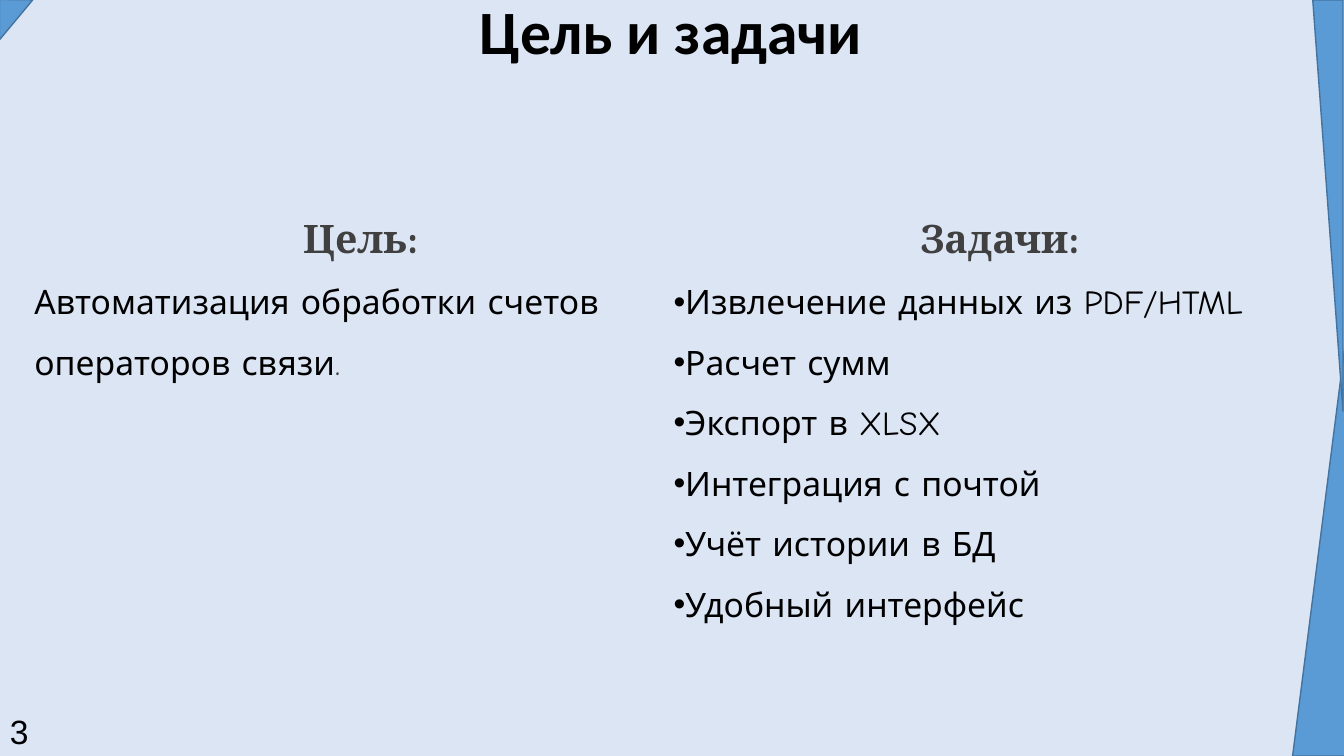
from lxml import etree
from pptx import Presentation
from pptx.dml.color import RGBColor
from pptx.enum.shapes import MSO_SHAPE
from pptx.enum.text import MSO_ANCHOR, MSO_AUTO_SIZE, PP_ALIGN
from pptx.oxml.ns import qn
from pptx.util import Inches, Pt

TRIANGLE = MSO_SHAPE.ISOSCELES_TRIANGLE
MIDDLE, TOP = MSO_ANCHOR.MIDDLE, MSO_ANCHOR.TOP
NO_AUTOFIT = MSO_AUTO_SIZE.NONE
LEFT, CENTER = PP_ALIGN.LEFT, PP_ALIGN.CENTER

BACKGROUND = RGBColor(0xDC, 0xE5, 0xF4)
BLUE = RGBColor(0x5B, 0x9B, 0xD5)
BLUE_EDGE = RGBColor(0x43, 0x73, 0x9E)
BLACK = RGBColor(0, 0, 0)
GRAY = RGBColor(0x40, 0x40, 0x40)

GOAL = "Автоматизация обработки счетов операторов связи"
TASKS = [
    "Извлечение данных из PDF/HTML",
    "Расчет сумм",
    "Экспорт в XLSX",
    "Интеграция с почтой",
    "Учёт истории в БД",
    "Удобный интерфейс",
]


def place(shape, box):
    shape.left, shape.top, shape.width, shape.height = map(Inches, box)


def add_span(para, text, size, font, color, bold=False):
    span = para.add_run()
    span.text = text
    span.font.size = Pt(size)
    span.font.name = font
    span.font.color.rgb = color
    span.font.bold = bold


def add_title(slide, box, text):
    title = slide.shapes.title
    place(title, box)
    frame = title.text_frame
    frame.auto_size = NO_AUTOFIT
    frame.vertical_anchor = MIDDLE
    para = frame.paragraphs[0]
    para.alignment = LEFT
    para.line_spacing = 0.9
    add_span(para, text, 44, "Calibri", BLACK, True)


def format_line(para, alignment, bullet):
    para.alignment = alignment
    para.line_spacing = 1.5
    para.space_before = para.space_after = Pt(0)
    properties = para._p.get_or_add_pPr()
    properties.set("marL", "0")
    properties.set("indent", "0")
    if bullet:
        etree.SubElement(properties, qn("a:buFont")).set("typeface", "Arial")
        etree.SubElement(properties, qn("a:buChar")).set("char", "•")
    else:
        etree.SubElement(properties, qn("a:buNone"))


def fill_column(placeholder, box, heading, lines, bullet):
    place(placeholder, box)
    frame = placeholder.text_frame
    frame.word_wrap = True
    frame.auto_size = NO_AUTOFIT
    frame.vertical_anchor = TOP
    para = frame.paragraphs[0]
    format_line(para, CENTER, False)
    add_span(para, heading, 28, "Cambria", GRAY, True)
    for line in lines:
        para = frame.add_paragraph()
        format_line(para, LEFT, bullet)
        for text, color in line:
            add_span(para, text, 24, "Comic Neue", color)


def add_page_number(slide, box, number):
    label = slide.shapes.add_textbox(*map(Inches, box))
    label.text_frame.word_wrap = True
    add_span(label.text_frame.paragraphs[0], number, 24, "Arial", BLACK)


def add_triangle(slide, box, apex, rotation=0):
    triangle = slide.shapes.add_shape(TRIANGLE, *map(Inches, box))
    triangle.adjustments[0] = apex
    triangle.rotation = rotation
    triangle.shadow.inherit = False
    triangle.fill.solid()
    triangle.fill.fore_color.rgb = BLUE
    triangle.line.color.rgb = BLUE_EDGE
    triangle.line.width = Pt(1)


def add_decoration(slide, width, height):
    add_triangle(slide, (-0.04, 0.03, 0.4, 0.33), 0.01, 90)
    add_triangle(slide, (width - 0.51, height - 4.08, 0.52, 4.08), 1)
    add_triangle(slide, (width - 0.31, 0, 0.3, 4.08), 0, 180)


def build_goal_slide(deck, width, height):
    slide = deck.slides.add_slide(deck.slide_layouts.get_by_name("Two Content"))
    slide.background.fill.solid()
    slide.background.fill.fore_color.rgb = BACKGROUND
    add_title(slide, (4.66, -0.38, 4.48, 1.45), "Цель и задачи")
    goal, tasks = list(slide.placeholders)[1:3]
    fill_column(goal, (0.24, 1.84, 6.67, 2.02), "Цель:",
                [[(GOAL, BLACK), (".", GRAY)]], False)
    fill_column(tasks, (6.58, 1.84, 6.67, 5.05), "Задачи:",
                [[(task, BLACK)] for task in TASKS], True)
    add_page_number(slide, (0, 7, 0.43, 0.5), "3")
    add_decoration(slide, width, height)


def main():
    width, height = 13.33, 7.5
    deck = Presentation()
    deck.slide_width, deck.slide_height = Inches(width), Inches(height)
    build_goal_slide(deck, width, height)
    deck.save("out.pptx")


if __name__ == "__main__":
    main()
